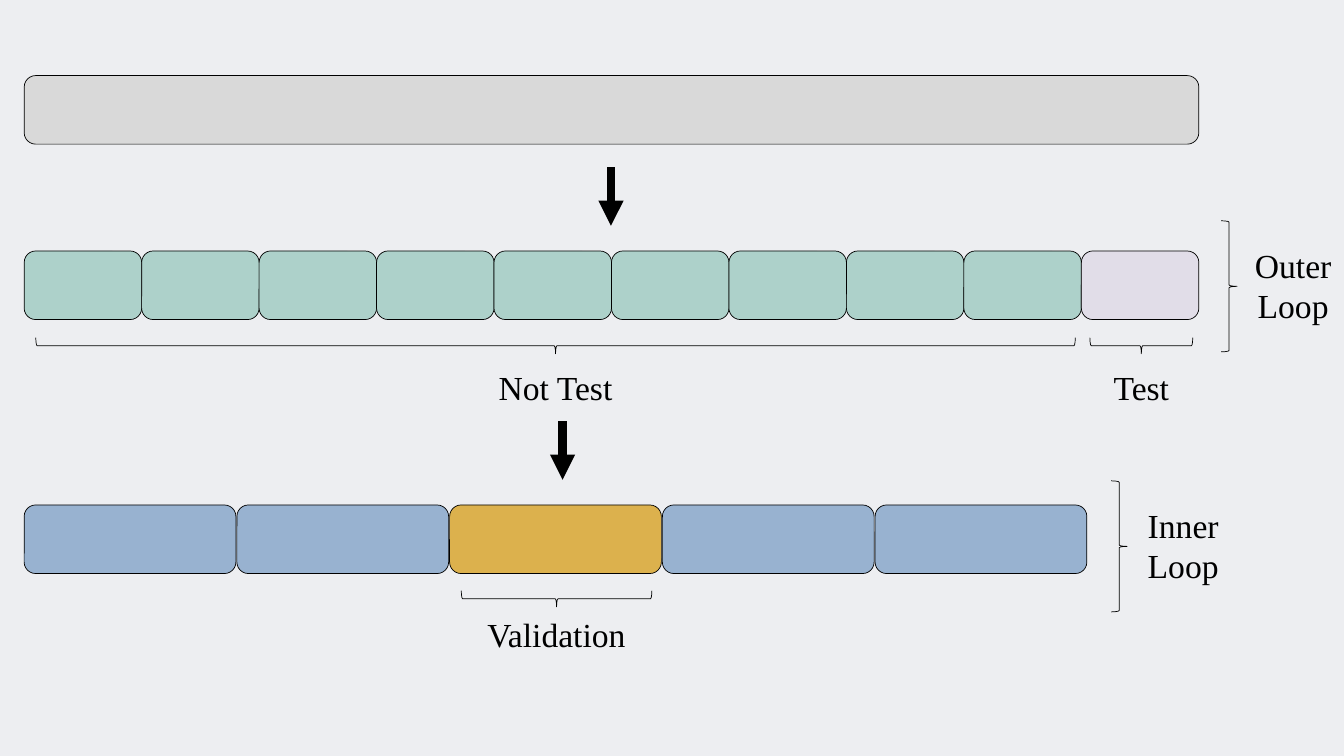
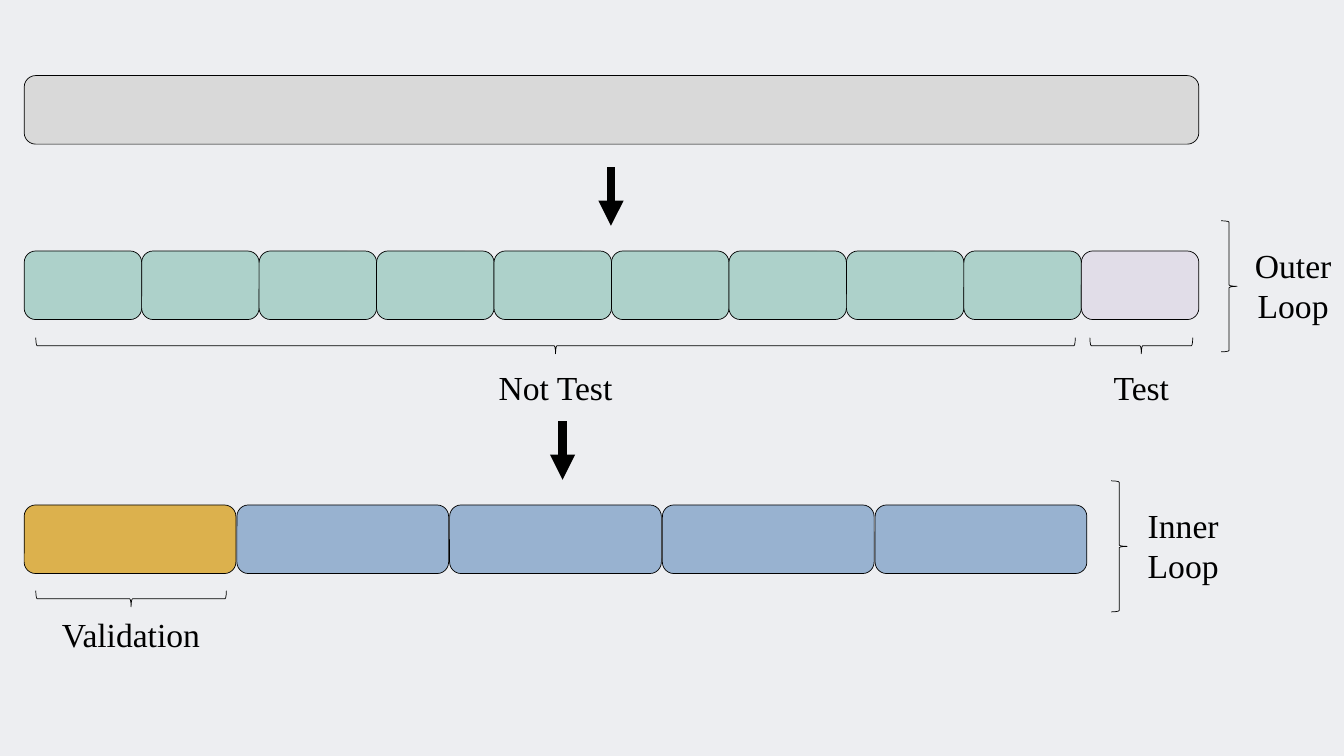
from dataclasses import dataclass
from lxml import etree
from pptx import Presentation
from pptx.dml.color import RGBColor
from pptx.enum.shapes import MSO_CONNECTOR, MSO_SHAPE
from pptx.enum.text import MSO_AUTO_SIZE, PP_ALIGN
from pptx.oxml.ns import qn
from pptx.util import Inches, Pt

ROUNDED = MSO_SHAPE.ROUNDED_RECTANGLE
BRACE = MSO_SHAPE.LEFT_BRACE
STRAIGHT = MSO_CONNECTOR.STRAIGHT
CENTER = PP_ALIGN.CENTER
GROW = MSO_AUTO_SIZE.SHAPE_TO_FIT_TEXT


@dataclass(frozen=True)
class Theme:
    background: str = "EDEEF1"
    ink: str = "000000"
    dataset: str = "D9D9D9"
    not_test: str = "ADD1CA"
    test: str = "E1DDE8"
    training: str = "98B2D0"
    validation: str = "DCB14D"
    font: str = "Times New Roman"
    label_size: int = 24
    outline: float = 0.5
    arrow: float = 6


THEME = Theme()
VALIDATION_FOLDS = [2, 0]
INNER_FOLDS = 5
OUTER_COLORS = [THEME.not_test] * 9 + [THEME.test]
SPANS = [("Not Test", 5.51, 10.31, 2.33), ("Test", 11.32, 1.02, 1.45)]
LOOPS = [("Outer Loop", 12.11, 2.19), ("Inner Loop", 11.02, 4.77)]
ARROWS = [(6.06, 1.66), (5.58, 4.18)]

SLIDE_W, SLIDE_H = 13.33, 7.5
ROW_LEFT, ROW_W, ROW_H = 0.24, 11.65, 0.68
DATASET_TOP, OUTER_TOP, INNER_TOP = 0.75, 2.49, 5.01
OUTER_PITCH = ROW_W / len(OUTER_COLORS)
INNER_PITCH, INNER_W = 2.11, 2.1
BRACE_DEPTH, LOOP_BRACE_H = 0.16, 1.3
OUTER_BRACE_Y, INNER_BRACE_Y = 3.43, 5.94
VALIDATION_CENTER, VALIDATION_SPAN, VALIDATION_LABEL_W = 1.3, 1.89, 2.44
OUTER_LABEL_TOP, INNER_LABEL_TOP = 3.59, 6.04
LABEL_H, LOOP_LABEL_W, LOOP_LABEL_H = 0.5, 1.05, 0.91
LOOP_LABEL_GAP, ARROW_LENGTH = 0.19, 0.58


def apply(target, formats):
    for name, value in formats.items():
        setattr(target, name, value)


def ink_line(line, width):
    line.color.rgb = RGBColor.from_string(THEME.ink)
    line.width = Pt(width)


def add_outlined(slide, preset, left, top, width, height):
    outlined = slide.shapes.add_shape(preset, *map(Inches, (left, top, width, height)))
    outlined.shadow.inherit = False
    ink_line(outlined.line, THEME.outline)
    return outlined


def add_block(slide, left, top, width, color):
    block = add_outlined(slide, ROUNDED, left, top, width, ROW_H)
    block.fill.solid()
    block.fill.fore_color.rgb = RGBColor.from_string(color)


def add_brace(slide, center_x, center_y, length, rotation):
    brace = add_outlined(slide, BRACE, center_x - BRACE_DEPTH / 2,
                         center_y - length / 2, BRACE_DEPTH, length)
    brace.fill.background()
    brace.rotation = rotation


def add_label(slide, text, left, top, width, height):
    frame = slide.shapes.add_textbox(*map(Inches, (left, top, width, height))).text_frame
    apply(frame, {"word_wrap": True, "auto_size": GROW, "text": text})
    paragraph = frame.paragraphs[0]
    paragraph.alignment = CENTER
    font = paragraph.runs[0].font
    apply(font, {"name": THEME.font, "size": Pt(THEME.label_size)})
    font.color.rgb = RGBColor.from_string(THEME.ink)


def add_span(slide, text, center, span, label_w, brace_y, label_top):
    add_brace(slide, center, brace_y, span, 270)
    add_label(slide, text, center - label_w / 2, label_top, label_w, LABEL_H)


def add_arrow(slide, x, top):
    arrow = slide.shapes.add_connector(
        STRAIGHT, *map(Inches, (x, top, x, top + ARROW_LENGTH)))
    ink_line(arrow.line, THEME.arrow)
    properties = arrow.element.spPr
    etree.SubElement(properties.find(qn("a:ln")), qn("a:tailEnd"), type="triangle")
    etree.SubElement(properties, qn("a:effectLst"))


def build_slide(slide, validation_fold):
    add_block(slide, ROW_LEFT, DATASET_TOP, ROW_W, THEME.dataset)
    for fold, color in enumerate(OUTER_COLORS):
        add_block(slide, ROW_LEFT + fold * OUTER_PITCH, OUTER_TOP, OUTER_PITCH, color)
    for fold in range(INNER_FOLDS):
        color = THEME.validation if fold == validation_fold else THEME.training
        add_block(slide, ROW_LEFT + fold * INNER_PITCH, INNER_TOP, INNER_W, color)
    for span in SPANS:
        add_span(slide, *span, OUTER_BRACE_Y, OUTER_LABEL_TOP)
    add_span(slide, "Validation", VALIDATION_CENTER + validation_fold * INNER_PITCH,
             VALIDATION_SPAN, VALIDATION_LABEL_W, INNER_BRACE_Y, INNER_LABEL_TOP)
    for arrow in ARROWS:
        add_arrow(slide, *arrow)
    for text, left, top in LOOPS:
        add_brace(slide, left + BRACE_DEPTH / 2, top + LOOP_BRACE_H / 2, LOOP_BRACE_H, 180)
        add_label(slide, text, left + LOOP_LABEL_GAP, top + LOOP_LABEL_GAP,
                  LOOP_LABEL_W, LOOP_LABEL_H)


deck = Presentation()
apply(deck, {"slide_width": Inches(SLIDE_W), "slide_height": Inches(SLIDE_H)})
backdrop = deck.slide_master.background.fill
backdrop.solid()
backdrop.fore_color.rgb = RGBColor.from_string(THEME.background)
blank = deck.slide_layouts[6]
for validation_fold in VALIDATION_FOLDS:
    build_slide(deck.slides.add_slide(blank), validation_fold)
deck.save("out.pptx")
